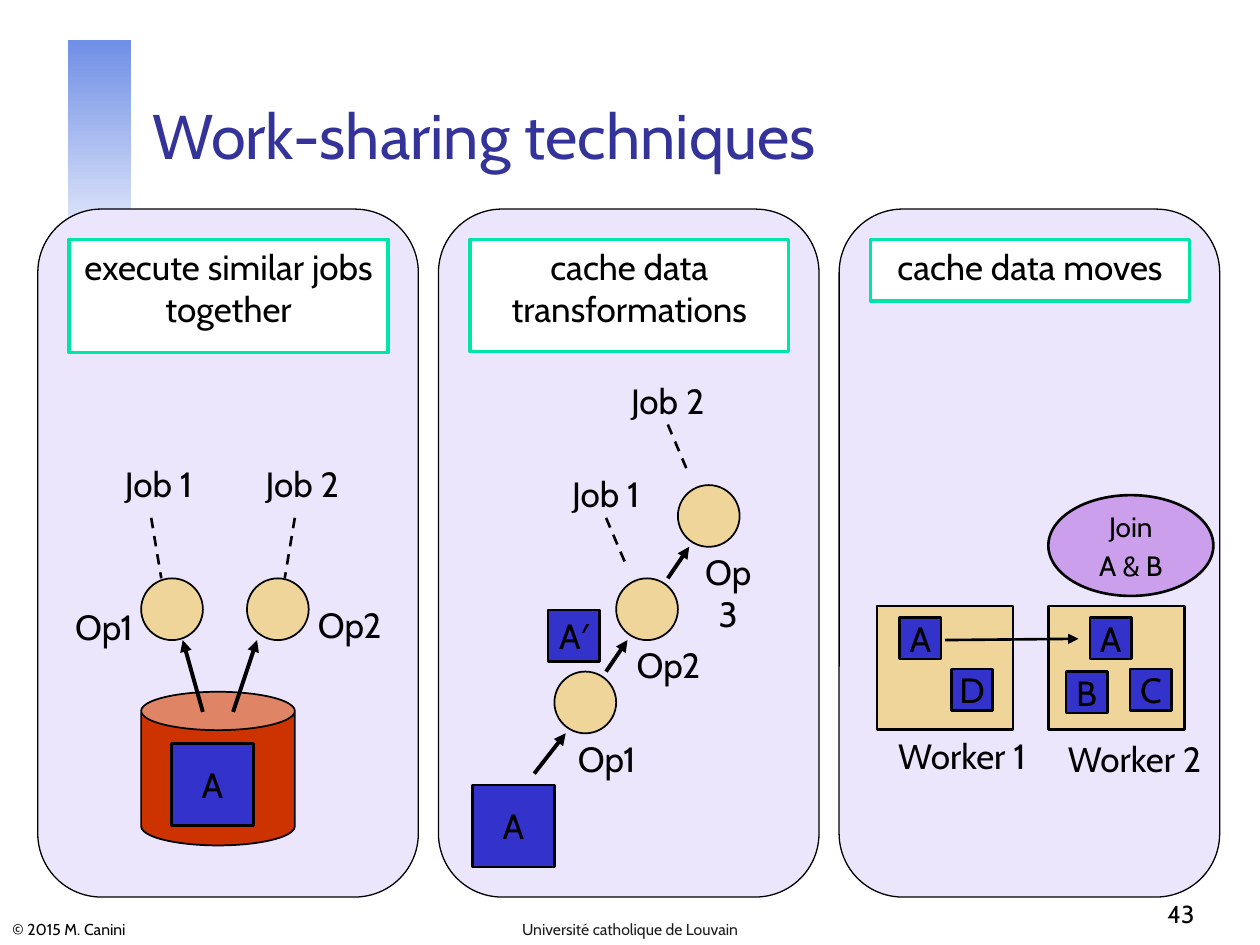
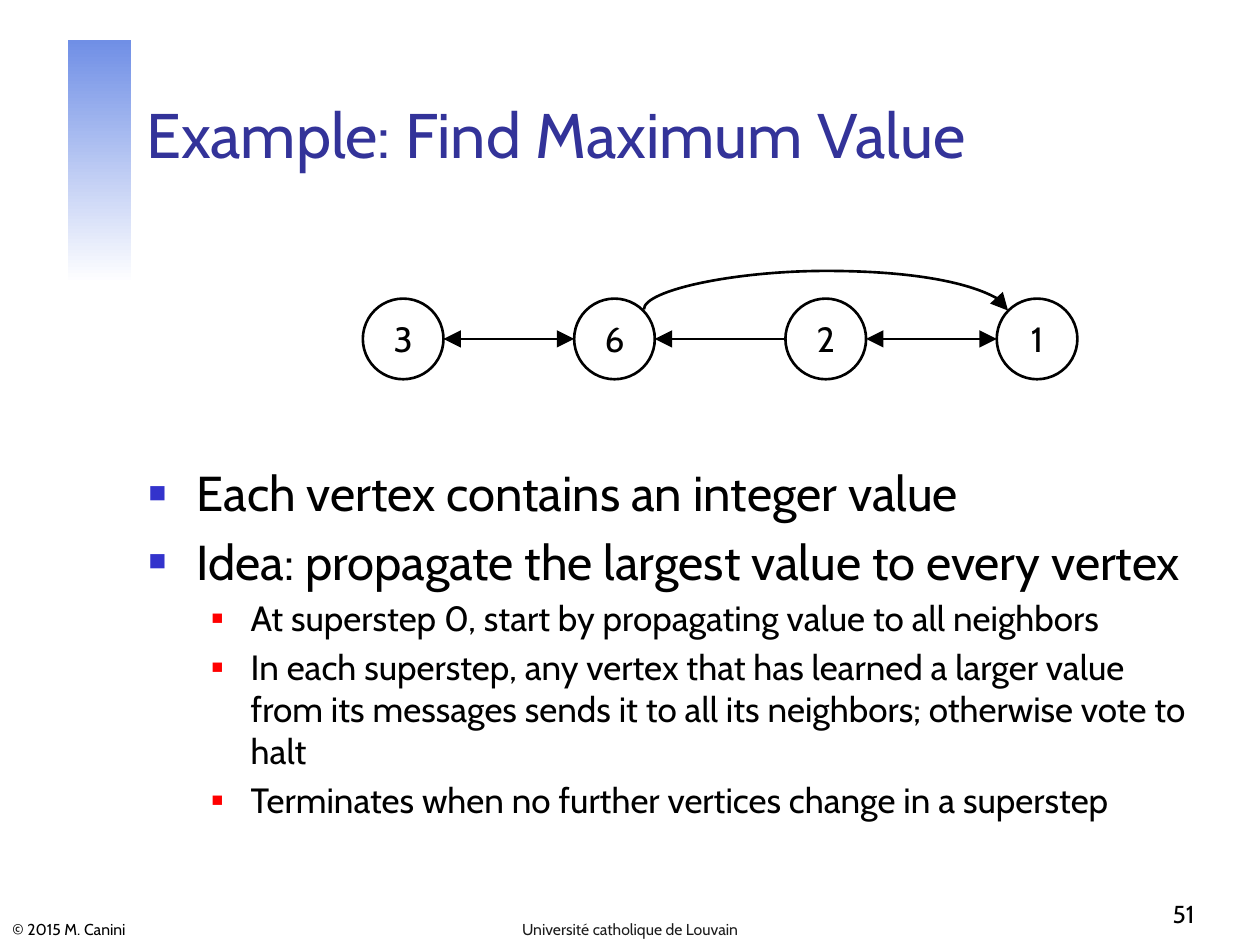
from lxml import etree
from pptx import Presentation
from pptx import util as u
from pptx.dml import color
from pptx.enum import dml, shapes, text
from pptx.oxml import ns

Inches = u.Inches
FONT = "Cabin"
BLACK, WHITE, TITLE_BLUE = "000000", "FFFFFF", "333399"
BAND_BLUE, FOOTER_GREY = "708FE6", "1C1C1C"
PANEL, HEADING_LINE = "ECE6FC", "00E4A8"
SAND, DATA_BLUE, STORE_RED, JOIN_PURPLE = "F0D59A", "3333CC", "CC3300", "CC9FEC"
BULLETS = [  # colour, size %, left margin, hanging indent, text size
    (DATA_BLUE, 60, 0.38, 0.38, 28),
    ("FF0000", 55, 0.81, 0.31, 20),
]
SHAPE = shapes.MSO_SHAPE
LEFT, CENTER, RIGHT = text.PP_ALIGN.LEFT, text.PP_ALIGN.CENTER, text.PP_ALIGN.RIGHT
TOP, MIDDLE, BOTTOM = (text.MSO_ANCHOR.TOP, text.MSO_ANCHOR.MIDDLE,
                       text.MSO_ANCHOR.BOTTOM)


def rgb(value):
    return color.RGBColor.from_string(value)


def add_xml(parent, tag, **attributes):
    return etree.SubElement(parent, ns.qn(tag), attributes)


def place(item, left, top, width, height):
    item.left, item.top = Inches(left), Inches(top)
    item.width, item.height = Inches(width), Inches(height)


def write(box, content, size=20, ink=BLACK, align=CENTER, anchor=TOP,
          wrap=True, side=0.1):
    """Fill a box with one paragraph per line of content."""
    frame = box.text_frame
    frame.auto_size = text.MSO_AUTO_SIZE.NONE
    frame.word_wrap, frame.vertical_anchor = wrap, anchor
    frame.margin_left = frame.margin_right = Inches(side)
    frame.margin_top = frame.margin_bottom = Inches(0.05)
    for index, line in enumerate(content.split("\n")):
        para = frame.add_paragraph() if index else frame.paragraphs[0]
        para.alignment = align
        para.space_before = u.Pt(0.2 * size if index else 0)
        span = para.add_run()
        span.text = line
        span.font.name, span.font.size = FONT, u.Pt(size)
        span.font.color.rgb = rgb(ink)


def add_label(page, content, left, top, width, height=0.42, **style):
    box = page.shapes.add_textbox(*map(Inches, (left, top, width, height)))
    write(box, content, **style)


def add_box(page, kind, left, top, width, height, fill=None, line=BLACK,
            weight=1.5, content="", **style):
    box = page.shapes.add_shape(kind, *map(Inches, (left, top, width, height)))
    box.shadow.inherit = False
    if fill:
        box.fill.solid()
        box.fill.fore_color.rgb = rgb(fill)
    else:
        box.fill.background()
    box.line.color.rgb = rgb(line)
    box.line.width = u.Pt(weight)
    if content:
        write(box, content, **style)
    return box


def add_data(page, name, left, top, side):
    add_box(page, SHAPE.RECTANGLE, left, top, side, side, DATA_BLUE,
            content=name, anchor=MIDDLE, wrap=False, side=0)


def add_operator(page, left, top):
    add_box(page, SHAPE.OVAL, left, top, 0.49, 0.49, SAND, weight=1)


def add_line(page, start, end, weight=1.5, dashed=False, head=False, tail=False,
             tip="med", kind=shapes.MSO_CONNECTOR.STRAIGHT):
    link = page.shapes.add_connector(kind, *map(Inches, (*start, *end)))
    link.line.color.rgb = rgb(BLACK)
    link.line.width = u.Pt(weight)
    if dashed:
        link.line.dash_style = dml.MSO_LINE.DASH
    outline = link.line._get_or_add_ln()
    for wanted, tag in ((head, "a:headEnd"), (tail, "a:tailEnd")):
        if wanted:
            add_xml(outline, tag, type="triangle", w=tip, len=tip)
    add_xml(link._element.spPr, "a:effectLst")
    return link


def add_arc(page, left, right, base, rise):
    """Curved connector that leaves upwards and comes back down to base."""
    depth, middle, half = 0.01, (left + right) / 2, (right - left) / 2
    link = add_line(page, (middle - depth / 2, base - half),
                    (middle + depth / 2, base + half), tail=True, tip="lg",
                    kind=shapes.MSO_CONNECTOR.CURVE)
    frame = link._element.spPr.find(ns.qn("a:xfrm"))
    frame.set("rot", "16200000")
    frame.set("flipH", "1")
    geometry = link._element.spPr.find(ns.qn("a:prstGeom"))
    guides = geometry.find(ns.qn("a:avLst"))
    if guides is None:
        guides = add_xml(geometry, "a:avLst")
    add_xml(guides, "a:gd", name="adj1", fmla=f"val {round(-rise / depth * 100000)}")


def add_page(deck, layout, title, title_area, number):
    """Start a slide with the band, title and footers that all slides share."""
    page = deck.slides.add_slide(deck.slide_layouts.get_by_name(layout))
    band = add_box(page, SHAPE.RECTANGLE, 0.54, 0.32, 0.5, 1.93)
    band.line.fill.background()
    band.fill.gradient()
    band.fill.gradient_angle = 270
    for stop, value in zip(band.fill.gradient_stops, (BAND_BLUE, WHITE)):
        stop.color.rgb = rgb(value)
    place(page.shapes.title, *title_area)
    write(page.shapes.title, title, size=36, ink=TITLE_BLUE, align=LEFT, anchor=BOTTOM)
    add_label(page, "© 2015 M. Canini", 0, 7.22, 3.02, 0.28, size=9,
              align=LEFT, anchor=BOTTOM)
    add_label(page, "Université catholique de Louvain", 3.42, 7.22, 3.16, 0.28,
              size=9, ink=FOOTER_GREY, anchor=BOTTOM)
    add_label(page, str(number), 7.5, 6.92, 2.08, 0.5, size=14,
              align=RIGHT, anchor=BOTTOM)
    return page


def add_bullets(page, items, area):
    body = page.placeholders[1]
    place(body, *area)
    frame = body.text_frame
    frame.auto_size = text.MSO_AUTO_SIZE.NONE
    for index, (level, line) in enumerate(items):
        tint, percent, margin, hanging, size = BULLETS[level]
        para = frame.add_paragraph() if index else frame.paragraphs[0]
        para.level = level
        para.space_before = u.Pt(0.2 * size if index else 0)
        span = para.add_run()
        span.text = line
        span.font.name, span.font.size = FONT, u.Pt(size)
        span.font.color.rgb = rgb(BLACK)
        props = para._p.get_or_add_pPr()
        props.set("marL", str(Inches(margin)))
        props.set("indent", str(-Inches(hanging)))
        add_xml(add_xml(props, "a:buClr"), "a:srgbClr", val=tint)
        add_xml(props, "a:buSzPct", val=str(percent * 1000))
        add_xml(props, "a:buChar", char="■")


def draw_shared_scan(page):
    """Two jobs read the same stored data."""
    add_box(page, SHAPE.CAN, 1.12, 5.49, 1.22, 1.22, STORE_RED, weight=1)
    add_data(page, "A", 1.36, 5.9, 0.65)
    for left in (1.12, 1.96):
        add_operator(page, left, 4.59)
    for job, left in (("Job 1", 0.83), ("Job 2", 1.97)):
        add_label(page, job, left, 3.62, 0.86, wrap=False)
    add_label(page, "Op1", 0.47, 4.76, 0.71, wrap=False)
    add_label(page, "Op2", 2.42, 4.74, 0.71, wrap=False)
    for top_x, bottom_x in ((1.2, 1.28), (2.34, 2.26)):
        add_line(page, (top_x, 4.11), (bottom_x, 4.59), dashed=True)
    for bottom_x, top_x in ((1.61, 1.45), (1.85, 2.04)):
        add_line(page, (bottom_x, 5.65), (top_x, 5.08), weight=2.25, tail=True)


def draw_transformations(page):
    """A staircase of operators that starts at data A."""
    step_x, step_y = 0.49, 0.74
    for step in range(3):
        add_operator(page, 4.4 + step * step_x, 5.33 - step * step_y)
    for step, job in enumerate(("Job 1", "Job 2")):
        right, up = step * step_x, step * step_y
        add_label(page, job, 4.38 + right, 3.7 - up, 0.86, wrap=False)
        add_line(page, (4.81 + right, 4.11 - up), (4.98 + right, 4.51 - up), dashed=True)
        add_label(page, f"Op{step + 1}", 4.46 + right, 5.8 - up, 0.71, wrap=False)
        add_line(page, (4.81 + right, 5.33 - up), (4.98 + right, 5.08 - up),
                 weight=2.25, tail=True)
    add_label(page, "Op3", 5.48, 4.32, 0.6)
    add_line(page, (4.24, 6.14), (4.49, 5.82), weight=2.25, tail=True)
    add_data(page, "A", 3.75, 6.23, 0.65)
    add_data(page, "A′", 4.35, 4.84, 0.41)


def draw_data_moves(page):
    """Worker 1 sends A to worker 2, which joins it with B."""
    add_box(page, SHAPE.OVAL, 8.32, 3.93, 1.31, 0.8, JOIN_PURPLE,
            content="Join\nA & B", size=16, anchor=MIDDLE, wrap=False)
    for left in (6.96, 8.32):
        add_box(page, SHAPE.RECTANGLE, left, 4.81, 1.08, 0.98, SAND)
    add_label(page, "Worker 1", 6.87, 5.78, 1.53)
    add_label(page, "Worker 2", 8.24, 5.8, 1.53)
    for name, left, top in (("A", 7.14, 4.9), ("D", 7.55, 5.31), ("A", 8.65, 4.9),
                            ("B", 8.46, 5.33), ("C", 8.97, 5.31)):
        add_data(page, name, left, top, 0.33)
    add_line(page, (7.5, 5.08), (8.56, 5.07), tail=True)


def build_techniques(deck):
    page = add_page(deck, "Title Only", "Work-sharing techniques",
                    (1.11, 0.17, 7.76, 1.25), 43)
    columns = (("execute similar jobs together", 0.9, draw_shared_scan),
               ("cache data transformations", 0.89, draw_transformations),
               ("cache data moves", 0.49, draw_data_moves))
    for index, (heading, height, draw) in enumerate(columns):
        left = 0.3 + index * 3.18
        add_box(page, SHAPE.ROUNDED_RECTANGLE, left, 1.66, 3.02, 5.46, PANEL, weight=0.75)
        add_box(page, SHAPE.RECTANGLE, left + 0.25, 1.9, 2.53, height, WHITE,
                HEADING_LINE, 2, heading, side=0.05)
        draw(page)


def build_maximum(deck):
    page = add_page(deck, "Title and Content", "Example: Find Maximum Value",
                    (1.06, 0.33, 8.52, 1.08), 51)
    add_bullets(page, [
        (0, "Each vertex contains an integer value"),
        (0, "Idea: propagate the largest value to every vertex"),
        (1, "At superstep 0, start by propagating value to all neighbors"),
        (1, "In each superstep, any vertex that has learned a larger value from "
            "its messages sends it to all its neighbors; otherwise vote to halt"),
        (1, "Terminates when no further vertices change in a superstep"),
    ], (1.08, 3.62, 8.5, 3.15))
    # Graph of four vertices
    first, pitch, size, axis = 2.88, 1.677, 0.64, 2.69
    for index, value in enumerate("3621"):
        add_box(page, SHAPE.OVAL, first + index * pitch, axis - size / 2, size, size,
                content=value, anchor=MIDDLE, wrap=False)
    for index, two_way in enumerate((True, False, True)):
        left = first + index * pitch + size
        add_line(page, (left + pitch - size, axis), (left, axis),
                 head=two_way, tail=True, tip="lg")
    add_arc(page, 5.11, 8, 2.46, 0.31)


def main():
    deck = Presentation()
    deck.slide_width, deck.slide_height = Inches(10), Inches(7.5)
    build_techniques(deck)
    build_maximum(deck)
    deck.save("out.pptx")


if __name__ == "__main__":
    main()
